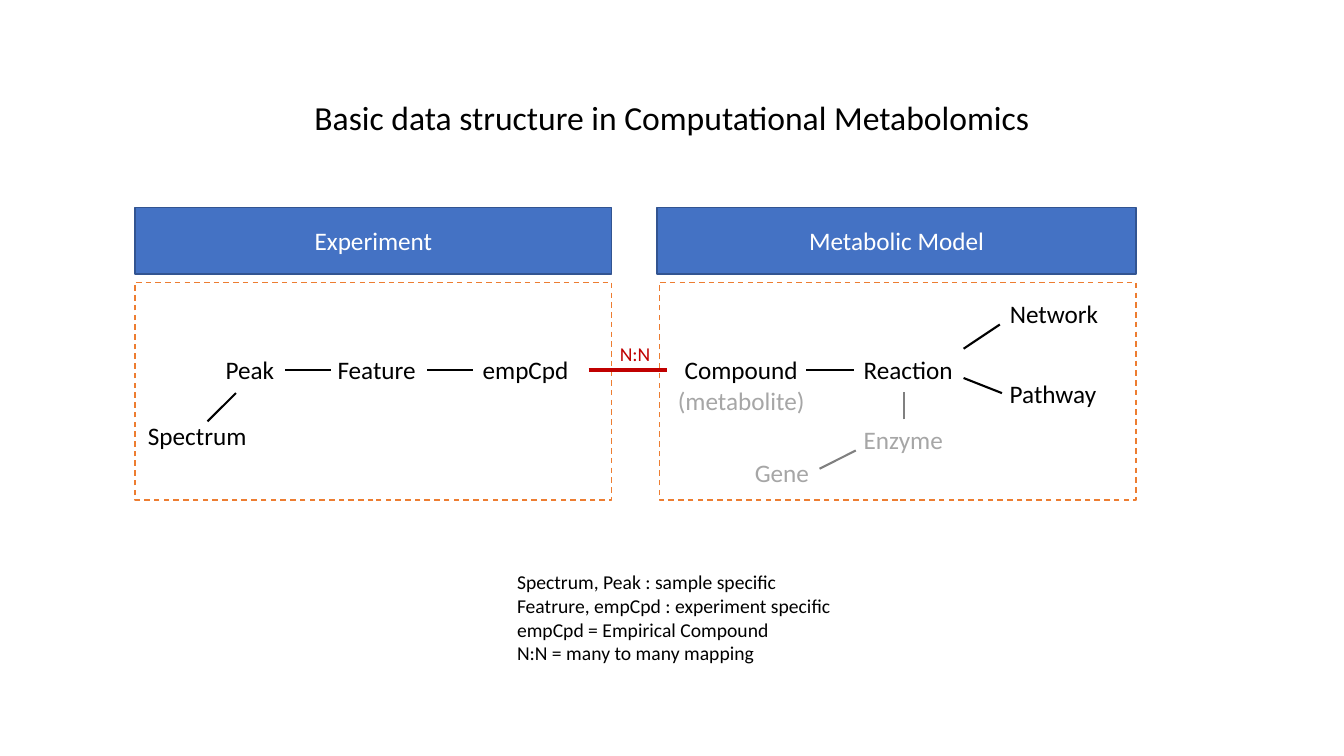
from dataclasses import dataclass

import pptx
import pptx.dml.color
import pptx.enum.dml
import pptx.enum.shapes
import pptx.enum.text
import pptx.oxml
import pptx.util

Pt = pptx.util.Pt
RGBColor = pptx.dml.color.RGBColor
Align = pptx.enum.text.PP_ALIGN
Anchor = pptx.enum.text.MSO_ANCHOR
Fit = pptx.enum.text.MSO_AUTO_SIZE
RECT = pptx.enum.shapes.MSO_SHAPE.RECTANGLE
STRAIGHT = pptx.enum.shapes.MSO_CONNECTOR.STRAIGHT
DASH = pptx.enum.dml.MSO_LINE.DASH

BLACK = RGBColor(0, 0, 0)
WHITE = RGBColor(0xFF, 0xFF, 0xFF)
BLUE = RGBColor(0x44, 0x72, 0xC4)
NAVY = RGBColor(0x32, 0x54, 0x91)
ORANGE = RGBColor(0xED, 0x7D, 0x31)
RED = RGBColor(0xC0, 0, 0)
PALE = RGBColor(0xA6, 0xA6, 0xA6)
GREY = RGBColor(0x80, 0x80, 0x80)
FONT = "Calibri"
TOP, LEFT, RIGHT = 0, 1, 3


@dataclass
class Box:
    """A rectangle, in points."""
    left: float
    top: float
    width: float
    height: float


@dataclass
class Panel:
    title: str
    head: Box
    frame: Box


@dataclass
class Label:
    text: str
    box: Box
    color: RGBColor = BLACK
    size: float = 18
    align: Align = Align.LEFT
    sub: str = ""
    wrap: bool = False


@dataclass
class Link:
    start: tuple[float, float]
    end: tuple[float, float]
    color: RGBColor = BLACK
    width: float = 1.5
    tail: tuple[str, int] | None = None
    tip: tuple[str, int] | None = None


PANELS = [
    Panel("Experiment", Box(96.5, 148.3, 340.5, 47.5),
          Box(96.5, 201.6, 340.5, 155.5)),
    Panel("Metabolic Model", Box(469.4, 148.3, 342, 47.5),
          Box(470.9, 201.6, 340.5, 155.5)),
]

ROW, LINE = 249.8, 29  # top of the main row, height of one line
NOTES = """Spectrum, Peak : sample specific
Featrure, empCpd : experiment specific
empCpd = Empirical Compound
N:N = many to many mapping"""
LABELS = [
    Label("Peak", Box(154.1, ROW, 49.7, LINE)),
    Label("Feature", Box(234, ROW, 71.3, LINE)),
    Label("empCpd", Box(337.7, ROW, 76.3, LINE)),
    Label("Compound", Box(476.6, ROW, 105.8, 51), align=Align.CENTER,
          sub="(metabolite)"),
    Label("Reaction", Box(609.8, ROW, 79.2, LINE)),
    Label("Network", Box(714.2, 209.5, 78.5, LINE)),
    Label("Pathway", Box(714.2, 266.4, 77, LINE)),
    Label("Spectrum", Box(98.6, 296.6, 85.7, LINE)),
    Label("Enzyme", Box(609.8, 299.5, 72, LINE), PALE),
    Label("Gene", Box(532.1, 323.3, 54, LINE), PALE),
    Label("N:N", Box(435.6, 240.5, 36.7, 24.2), RED, 14),
    Label(NOTES, Box(362.2, 403.9, 347, 74.9), size=14, wrap=True),
]

MID = ROW + LINE / 2
LINKS = [
    Link((203.8, MID), (236.2, MID), tail=("Peak", RIGHT)),
    Link((305.3, MID), (337.7, MID), tail=("Feature", RIGHT),
         tip=("empCpd", LEFT)),
    Link((576, MID), (609.8, MID), tip=("Reaction", LEFT)),
    Link((420.5, MID), (476.6, MID), RED, 2.75),
    Link((688.3, 249.1), (714.2, 231.8)),
    Link((688.3, 270), (715.7, 280.8)),
    Link((148.3, 301), (168.5, 280.8)),
    Link((585.4, 334.8), (611.3, 321.8), GREY),
    Link((645.8, 301), (645.8, 280.1), GREY, tail=("Enzyme", TOP)),
]


def place(shape, box: Box) -> None:
    shape.left, shape.top = Pt(box.left), Pt(box.top)
    shape.width, shape.height = Pt(box.width), Pt(box.height)


def write(shape, label: Label) -> None:
    frame = shape.text_frame
    frame.word_wrap = label.wrap
    frame.text = label.text
    for para in frame.paragraphs:
        para.alignment = label.align
        para.font.name = FONT
        para.font.size = Pt(label.size)
        para.font.color.rgb = label.color
    if label.sub:
        para = frame.paragraphs[-1]
        para.add_line_break()
        run = para.add_run()
        run.text = label.sub
        run.font.color.rgb = PALE


def add_rect(slide, box: Box, edge: RGBColor):
    shape = slide.shapes.add_shape(RECT, 0, 0, 0, 0)
    place(shape, box)
    shape.shadow.inherit = False
    shape.line.color.rgb = edge
    shape.line.width = Pt(1)
    return shape


def add_panel(slide, panel: Panel) -> None:
    head = add_rect(slide, panel.head, NAVY)
    head.fill.solid()
    head.fill.fore_color.rgb = BLUE
    write(head, Label(panel.title, panel.head, WHITE, align=Align.CENTER,
                      wrap=True))
    head.text_frame.vertical_anchor = Anchor.MIDDLE
    frame = add_rect(slide, panel.frame, ORANGE)
    frame.fill.background()
    frame.line.dash_style = DASH


def add_label(slide, label: Label):
    shape = slide.shapes.add_textbox(0, 0, 0, 0)
    write(shape, label)
    shape.text_frame.auto_size = Fit.SHAPE_TO_FIT_TEXT
    place(shape, label.box)
    return shape


def add_link(slide, link: Link, nodes: dict) -> None:
    ends = [Pt(num) for num in link.start + link.end]
    line = slide.shapes.add_connector(STRAIGHT, *ends)
    line.line.color.rgb = link.color
    line.line.width = Pt(link.width)
    if link.tail:
        name, side = link.tail
        line.begin_connect(nodes[name], side)
    if link.tip:
        name, side = link.tip
        line.end_connect(nodes[name], side)
    props = line._element.spPr
    props.append(pptx.oxml.parse_xml(
        '<a:effectLst xmlns:a='
        '"http://schemas.openxmlformats.org/drawingml/2006/main"/>'))


def main() -> None:
    deck = pptx.Presentation()
    deck.slide_width, deck.slide_height = Pt(960), Pt(540)
    slide = deck.slides.add_slide(deck.slide_layouts.get_by_name("Title Only"))

    # Title
    title = slide.shapes.title
    name = Label("Basic data structure in Computational Metabolomics",
                 Box(217.4, 65.5, 530, 36), size=24)
    place(title, name.box)
    write(title, name)
    title.text_frame.vertical_anchor = Anchor.TOP
    title.text_frame.auto_size = Fit.SHAPE_TO_FIT_TEXT

    # Panels, then their terms and the links between them
    for panel in PANELS:
        add_panel(slide, panel)
    nodes = {label.text: add_label(slide, label) for label in LABELS}
    for link in LINKS:
        add_link(slide, link, nodes)

    deck.save("out.pptx")


if __name__ == "__main__":
    main()
